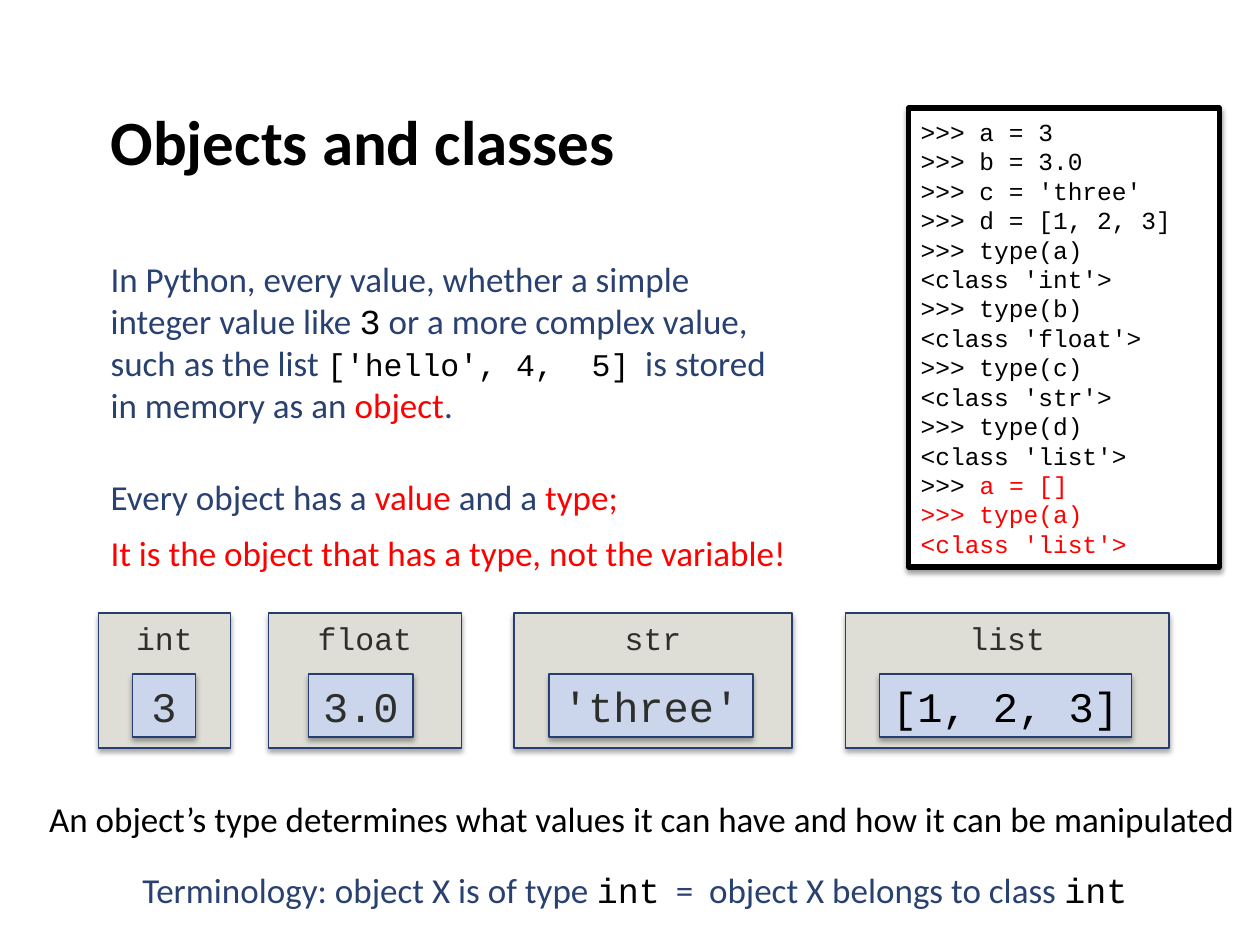
from lxml import etree
from pptx import Presentation
from pptx import util as u
from pptx.dml.color import RGBColor
from pptx.enum import shapes, text
from pptx.oxml.ns import qn

BLACK, RED, NAVY, GREY = "000000", "FF0000", "294171", "2D2F2B"
SANS, MONO = "Calibri", "Courier New"


def color(value):
    return RGBColor.from_string(value)


class Page:
    """Style of the page and the slide being drawn."""

    def __init__(self, slide):
        self.slide = slide

    def fill_text(self, shape, paragraphs, size, font, ink, anchor, align, wrap, spacing=None):
        """Each paragraph is a list of runs: a string, or (string, settings)."""
        frame = shape.text_frame
        frame.word_wrap = wrap
        frame.vertical_anchor = anchor
        for index, runs in enumerate(paragraphs):
            paragraph = frame.add_paragraph() if index else frame.paragraphs[0]
            paragraph.alignment = align
            paragraph.font.size = u.Pt(size)
            paragraph.font.name = font
            paragraph.font.color.rgb = color(ink)
            if spacing:
                paragraph.line_spacing = u.Pt(spacing)
            for item in runs:
                words, settings = (item, {}) if isinstance(item, str) else (item[0], item[1])
                run = paragraph.add_run()
                run.text = words
                run.font.name = settings.get("font", font)
                run.font.size = u.Pt(settings.get("size", size))
                run.font.color.rgb = color(settings.get("ink", ink))

    def label(self, left, top, width, height, runs, ink=NAVY, size=20,
              wrap=True, anchor=text.MSO_ANCHOR.MIDDLE):
        box = self.slide.shapes.add_textbox(u.Cm(left), u.Cm(top), u.Cm(width), u.Cm(height))
        self.fill_text(box, [runs], size, SANS, ink, anchor, text.PP_ALIGN.LEFT, wrap)
        return box

    def panel(self, left, top, width, height, paragraphs, fill, size, ink,
              line="263F70", line_width=0.75, opacity=35,
              anchor=text.MSO_ANCHOR.MIDDLE, align=text.PP_ALIGN.CENTER, spacing=None):
        shape = self.slide.shapes.add_shape(
            shapes.MSO_SHAPE.RECTANGLE, u.Cm(left), u.Cm(top), u.Cm(width), u.Cm(height))
        shape.fill.solid()
        shape.fill.fore_color.rgb = color(fill)
        shape.line.color.rgb = color(line)
        shape.line.width = u.Pt(line_width)
        self.drop_shadow(shape, opacity)
        self.fill_text(shape, paragraphs, size, MONO, ink, anchor, align, False, spacing)

    def drop_shadow(self, shape, opacity):
        shape.shadow.inherit = False
        effects = shape._element.spPr.find(qn("a:effectLst"))
        shadow = etree.SubElement(
            effects, qn("a:outerShdw"), blurRad=str(u.Pt(3.1)), dist=str(u.Pt(1.8)),
            dir="5400000", rotWithShape="0")
        tint = etree.SubElement(shadow, qn("a:srgbClr"), val=BLACK)
        etree.SubElement(tint, qn("a:alpha"), val=str(opacity * 1000))


presentation = Presentation()
presentation.slide_width, presentation.slide_height = u.Cm(25.4), u.Cm(19.05)
page = Page(presentation.slides.add_slide(presentation.slide_layouts[6]))
red = {"ink": RED}
code = {"font": MONO, "ink": BLACK}

# Title
title = page.label(1.98, 0, 21.59, 4.09, ["Objects and classes"], BLACK, 36,
                   anchor=text.MSO_ANCHOR.BOTTOM)
title.text_frame.margin_bottom = u.Cm(0.5)
title.text_frame.paragraphs[0].runs[0].font.bold = True

# Explanation
page.label(1.98, 5.05, 14.02, 3.68, [
    "In Python, every value, whether a simple integer value like ", ("3", code),
    " or a more complex value, such as the list ",
    ("['hello', 4,\u00a0 5]", {**code, "size": 18}),
    "\u00a0 is stored in memory as an ", ("object", red), "."])
page.label(1.98, 9.45, 11.05, 1.12, [
    "Every object has a ", ("value ", red), "and a ", ("type;", red)])
page.label(1.98, 10.57, 14.25, 1.12,
           ["It is the object that has a type, not the variable!"], RED, wrap=False)

# Interpreter session
session = [[line] for line in (
    ">>> a = 3", ">>> b = 3.0", ">>> c = 'three'", ">>> d = [1, 2, 3]",
    ">>> type(a)", "<class 'int'>", ">>> type(b)", "<class 'float'>",
    ">>> type(c)", "<class 'str'>", ">>> type(d)", "<class 'list'>")]
session += [[">>> ", ("a = []", red)], [(">>> type(a)", red)], [("<class 'list'>", red)]]
page.panel(18.31, 2.18, 6.27, 9.25, session, "FFFFFF", 14, BLACK, BLACK, 3, 38,
           align=text.PP_ALIGN.LEFT, spacing=16.8)

# Objects: type, left, width, then value, left, width, colour
objects = [
    ("int", 1.98, 2.67, "3", 2.67, 1.27, GREY),
    ("float", 5.41, 3.89, "3.0", 6.22, 2.11, GREY),
    ("str", 10.36, 5.61, "'three'", 11.07, 4.11, GREY),
    ("list", 17.04, 6.53, "[1, 2, 3]", 17.73, 5.08, BLACK),
]
for kind, left, width, value, value_left, value_width, ink in objects:
    page.panel(left, 12.36, width, 2.72, [[kind]], "DEDED7", 18, GREY,
               anchor=text.MSO_ANCHOR.TOP)
    page.panel(value_left, 13.59, value_width, 1.27, [[value]], "CBD6EC", 24, ink)

# Closing remarks
page.label(0.74, 15.95, 24.69, 1.12, [
    "An object’s type determines what values it can have and how it can be manipulated"],
    BLACK, wrap=False)
page.label(2.62, 17.37, 20.83, 1.12, [
    "Terminology: object X is of type ", ("int", code),
    "  =  object X belongs to class ", ("int", code)], wrap=False)

presentation.save("out.pptx")
